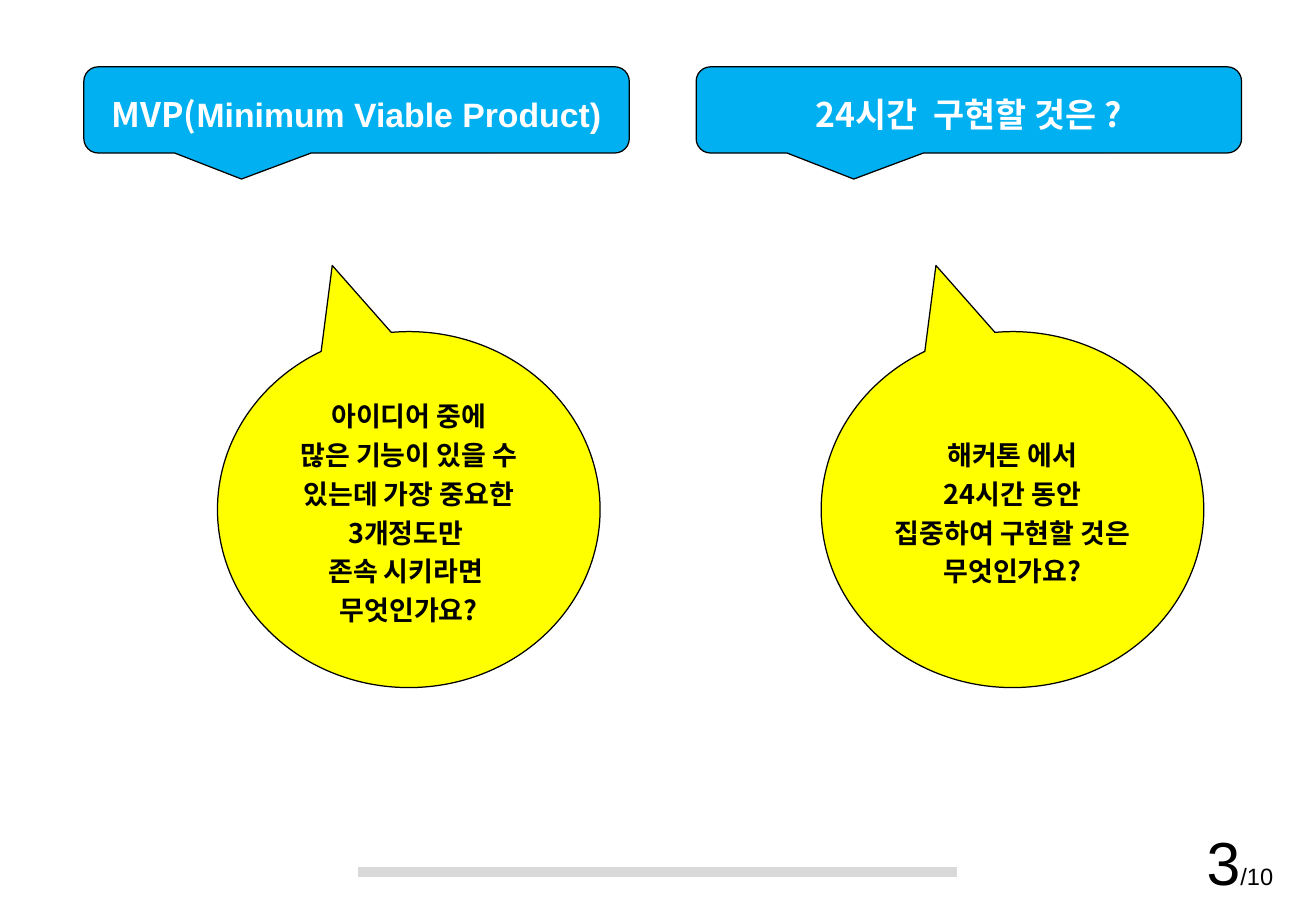
"""Build the hackathon slide with two header callouts and two question balloons."""
from dataclasses import dataclass

from lxml import etree
from pptx import Presentation
from pptx.dml.color import RGBColor
from pptx.enum import shapes, text
from pptx.oxml import ns
from pptx.util import Pt


@dataclass(frozen=True)
class Theme:
    blue: str = "00B0F0"
    yellow: str = "FFFF00"
    black: str = "000000"
    white: str = "FFFFFF"
    gray: str = "D9D9D9"
    latin: str = "Arial"
    korean: str = "Noto Sans CJK KR"
    header: int = 20
    body: int = 16
    page: int = 36
    total: int = 14


theme = Theme()


def add_text(paragraph, content, *, size, color, font=theme.korean, bold=True,
             align=text.PP_ALIGN.CENTER, spacing=1.2):
    paragraph.alignment = align
    paragraph.line_spacing = spacing
    run = paragraph.add_run()
    run.text = content
    run.font.size = Pt(size)
    run.font.bold = bold
    run.font.color.rgb = RGBColor.from_string(color)
    run.font.name = font
    east_asian = etree.SubElement(run.font._element, ns.qn("a:ea"))
    east_asian.set("typeface", font)


def add_callout(slide, kind, box, adjustments, fill):
    shape = slide.shapes.add_shape(kind, *map(Pt, box))
    for index, value in enumerate(adjustments):
        shape.adjustments[index] = value
    shape.shadow.inherit = False
    shape.fill.solid()
    shape.fill.fore_color.rgb = RGBColor.from_string(fill)
    shape.line.color.rgb = RGBColor.from_string(theme.black)
    shape.line.width = Pt(0.75)
    frame = shape.text_frame
    frame.word_wrap = True
    frame.vertical_anchor = text.MSO_ANCHOR.MIDDLE
    frame.margin_left = frame.margin_right = 0
    frame.margin_top = frame.margin_bottom = Pt(3.6)
    return frame


presentation = Presentation()
presentation.slide_width = Pt(780)
presentation.slide_height = Pt(540)
slide = presentation.slides.add_slide(presentation.slide_layouts[6])

page_box = slide.shapes.add_textbox(Pt(594), Pt(485.3), Pt(167.8), Pt(46.8))
page_frame = page_box.text_frame
page_frame.word_wrap = True
page_frame.vertical_anchor = text.MSO_ANCHOR.BOTTOM
page_frame.margin_bottom = 0
for content, size in (("3", theme.page), ("/10", theme.total)):
    add_text(page_frame.paragraphs[0], content, size=size, color=theme.black, font=theme.latin,
             bold=False, align=text.PP_ALIGN.RIGHT, spacing=1.0)

headers = (
    (49.7, (("MVP(", theme.korean), ("Minimum Viable Product)", theme.latin))),
    (412.6, (("24시간  구현할 것은 ?", theme.korean),)),
)
for left, pieces in headers:
    frame = add_callout(slide, shapes.MSO_SHAPE.ROUNDED_RECTANGULAR_CALLOUT,
                        (left, 39.6, 323.3, 51.1), (-0.211, 0.802, 0.167), theme.blue)
    for content, font in pieces:
        add_text(frame.paragraphs[0], content, size=theme.header, color=theme.white, font=font)

balloons = (
    (128.9, ("아이디어 중에", "많은 기능이 있을 수 있는데 가장 중요한", "3개정도만 ",
             "존속 시키라면 ", "무엇인가요?")),
    (486.7, ("해커톤 에서", "24시간 동안", "집중하여 구현할 것은 무엇인가요?")),
)
for left, lines in balloons:
    frame = add_callout(slide, shapes.MSO_SHAPE.OVAL_CALLOUT,
                        (left, 196.6, 226.8, 211), (-0.2, -0.686), theme.yellow)
    for index, content in enumerate(lines):
        paragraph = frame.add_paragraph() if index else frame.paragraphs[0]
        add_text(paragraph, content, size=theme.body, color=theme.black)

footer_bar = slide.shapes.add_connector(shapes.MSO_CONNECTOR.STRAIGHT,
                                        Pt(212.4), Pt(517), Pt(567.4), Pt(517))
footer_bar.line.color.rgb = RGBColor.from_string(theme.gray)
footer_bar.line.width = Pt(6)
etree.SubElement(footer_bar._element.spPr, ns.qn("a:effectLst"))

presentation.save("out.pptx")
